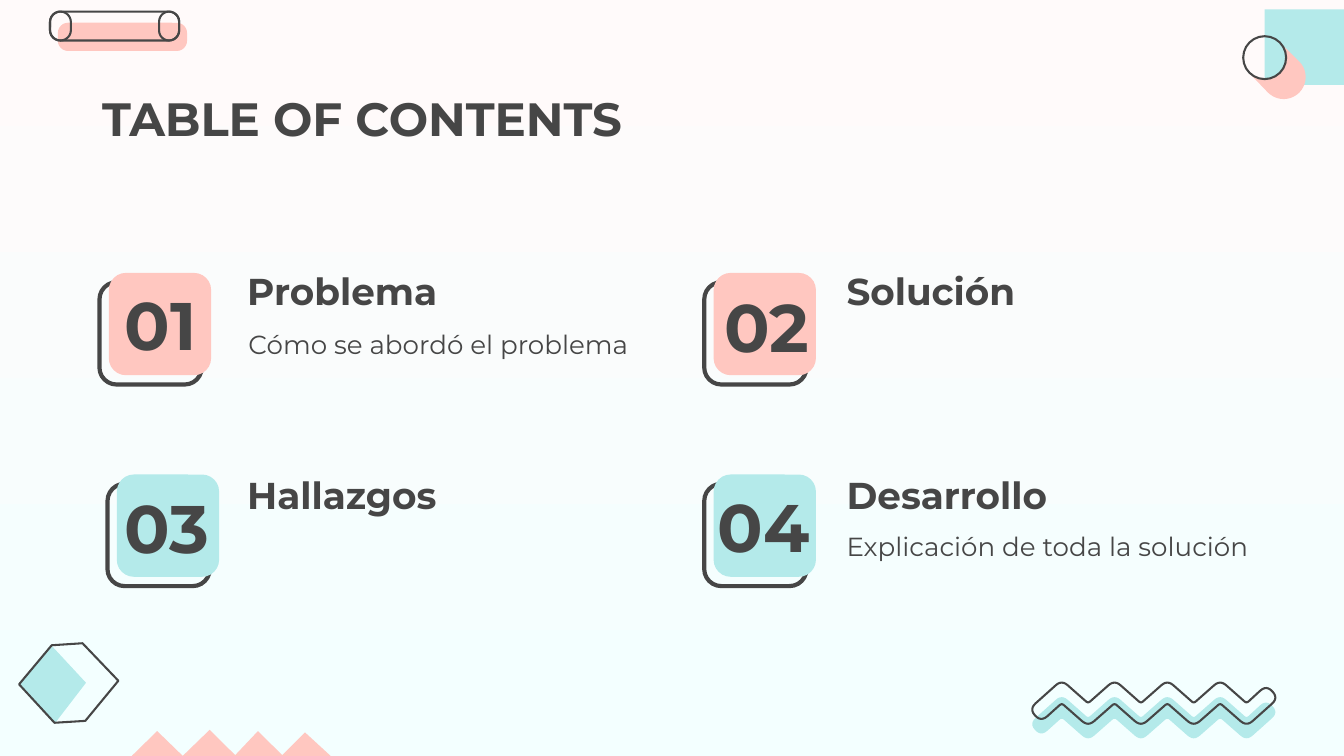
import math
from typing import NamedTuple

import pptx
import pptx.dml.color
import pptx.enum.shapes
import pptx.enum.text
import pptx.util

Pt = pptx.util.Pt
RGBColor = pptx.dml.color.RGBColor
Kind = pptx.enum.shapes.MSO_SHAPE
Anchor = pptx.enum.text.MSO_ANCHOR

INK = RGBColor(0x46, 0x46, 0x46)
CORAL = RGBColor(0xFF, 0xC7, 0xC0)
AQUA = RGBColor(0xB4, 0xEA, 0xEA)
SKY_TOP = RGBColor(0xFF, 0xFA, 0xFA)
SKY_BOTTOM = RGBColor(0xF3, 0xFF, 0xFF)
FONT = "Montserrat"
THIN, THICK = 1.1, 2.25
BADGE = 54.8

Point = tuple[float, float]


class Area(NamedTuple):
    left: float
    top: float
    width: float
    height: float


class Section(NamedTuple):
    number: str
    heading: str
    detail: str
    color: RGBColor
    badge: Point
    number_at: Point
    heading_at: Point
    detail_at: Point


class Corner(NamedTuple):
    x: float
    y: float
    cut: float


SECTIONS = [
    Section("01", "Problema", "Cómo se abordó el problema", CORAL,
            (58.3, 146.2), (59.8, 169.2), (125.3, 141.8), (126, 168.5)),
    Section("02", "Solución", "", CORAL,
            (382.3, 146.2), (380.9, 169.9), (446.4, 141.8), (446.4, 168.5)),
    Section("03", "Hallazgos", "", AQUA,
            (62.6, 254.2), (59.8, 277.9), (125.3, 251.3), (125.3, 277.2)),
    Section("04", "Desarrollo", "Explicación de toda la solución", AQUA,
            (382.3, 254.2), (377.3, 277.2), (446.4, 251.3), (446.4, 277.2)),
]


def paint(shape, fill: RGBColor | None, line_width: float = 0) -> None:
    shape.shadow.inherit = False
    if fill is None:
        shape.fill.background()
    else:
        shape.fill.solid()
        shape.fill.fore_color.rgb = fill
    if line_width:
        shape.line.color.rgb = INK
        shape.line.width = Pt(line_width)
    else:
        shape.line.fill.background()


def draw_preset(page, kind, area: Area, fill: RGBColor | None,
                line_width: float = 0, rounding: float | None = None) -> None:
    shape = page.shapes.add_shape(kind, *map(Pt, area))
    if rounding is not None:
        shape.adjustments[0] = rounding
    paint(shape, fill, line_width)


def draw_polygon(page, points: list[Point], fill: RGBColor | None,
                 line_width: float = 0) -> None:
    corners = [(Pt(x), Pt(y)) for x, y in points]
    builder = page.shapes.build_freeform(*corners[0])
    builder.add_line_segments(corners[1:], close=True)
    paint(builder.convert_to_shape(), fill, line_width)


def arc(center: Point, radius: float, start: int, end: int) -> list[Point]:
    step = 9 if end > start else -9
    return [(center[0] + radius * math.cos(math.radians(angle)),
             center[1] + radius * math.sin(math.radians(angle)))
            for angle in range(start, end + step, step)]


def round_corners(corners: list[Corner]) -> list[Point]:
    """Replace each corner by points on a quadratic curve."""
    points = []
    for index, corner in enumerate(corners):
        before = corners[index - 1]
        after = corners[(index + 1) % len(corners)]
        ends = []
        for other in (before, after):
            share = corner.cut / math.dist(corner[:2], other[:2])
            ends.append((corner.x + share * (other.x - corner.x),
                         corner.y + share * (other.y - corner.y)))
        for step in range(7):
            t = step / 6
            points.append(tuple(
                (1 - t) ** 2 * a + 2 * t * (1 - t) * b + t ** 2 * c
                for a, b, c in zip(ends[0], corner[:2], ends[1])))
    return points


def wave(drop: float) -> list[Point]:
    """Outline of the zigzag ribbon, moved down by drop."""
    first, pitch, outer, inner, cap = 568.8, 28.3, 4.3, 1.5, 4.6
    upper, lower = [], []
    for index in range(4):
        peak = first + index * pitch
        valley = peak + pitch / 2
        upper += [Corner(peak, 364.3, outer), Corner(valley, 376.8, inner)]
        lower += [Corner(peak, 376.8, inner), Corner(valley, 389.2, outer)]
    corners = [Corner(551.4, 379.9, cap), *upper, Corner(678.5, 367, cap),
               Corner(684.9, 374, cap), *reversed(lower),
               Corner(557.7, 386.8, cap)]
    return [(x, y + drop) for x, y in round_corners(corners)]


def write(box, text: str, size: float, bold: bool, anchor) -> None:
    frame = box.text_frame
    frame.word_wrap = True
    frame.auto_size = pptx.enum.text.MSO_AUTO_SIZE.NONE
    frame.vertical_anchor = anchor
    frame.margin_left = frame.margin_right = Pt(7.2)
    frame.margin_top = frame.margin_bottom = Pt(7.2)
    para = frame.paragraphs[0]
    para.alignment = pptx.enum.text.PP_ALIGN.LEFT
    span = para.add_run()
    span.text = text
    span.font.name = FONT
    span.font.size = Pt(size)
    span.font.bold = bold
    span.font.color.rgb = INK


def add_text(page, area: Area, text: str, size: float, bold: bool, anchor) -> None:
    write(page.shapes.add_textbox(*map(Pt, area)), text, size, bold, anchor)


def draw_ornaments(page) -> None:
    draw_preset(page, Kind.RECTANGLE, Area(677.5, 5, 42.5, 40.6), AQUA)
    draw_polygon(page, wave(7.8), AQUA)
    draw_polygon(page, wave(0), None, THIN)
    draw_polygon(page, [(27.4, 345.6), (10.1, 366.5), (29.5, 387.4),
                        (46.1, 365.8)], AQUA)
    draw_polygon(page, [(44.2, 344.6), (63.4, 364.7), (45.7, 386.2),
                        (29.2, 387.2), (10.2, 366.6), (27.7, 345.7)], None, THIN)
    crescent = arc((677.5, 31), 11.6, -45, 135) + arc((687.7, 41.3), 11.8, 135, -45)
    draw_polygon(page, crescent, CORAL)
    draw_preset(page, Kind.OVAL, Area(666, 19.4, 23, 23), None, THIN)
    draw_preset(page, Kind.ROUNDED_RECTANGLE, Area(31, 12.2, 69.2, 15.1), CORAL, 0, 0.36)
    for left, width, rounding in [(26.8, 69.2, 0.36), (26.8, 11.2, 0.5), (85.2, 10.8, 0.5)]:
        draw_preset(page, Kind.ROUNDED_RECTANGLE, Area(left, 6.2, width, 15.5),
                    None, THIN, rounding)
    draw_polygon(page, [(70.6, 405), (84.2, 391.7), (97.9, 405), (112.3, 391),
                        (126, 404.6), (138.2, 391.7), (151.2, 404.6),
                        (163.4, 392.4), (177.1, 405)], CORAL)


def draw_section(page, section: Section) -> None:
    left, top = section.badge
    draw_preset(page, Kind.ROUNDED_RECTANGLE, Area(left - 5, top + 5, BADGE, BADGE),
                None, THICK, 0.167)
    draw_preset(page, Kind.ROUNDED_RECTANGLE, Area(left, top, BADGE, BADGE),
                section.color, 0, 0.167)
    add_text(page, Area(*section.number_at, 74.2, 33.1), section.number, 36, True,
             Anchor.BOTTOM)
    add_text(page, Area(*section.heading_at, 236.9, 33.1), section.heading, 20, True,
             Anchor.BOTTOM)
    if section.detail:
        add_text(page, Area(*section.detail_at, 231.1, 45.4), section.detail, 14, False,
                 Anchor.TOP)


def main() -> None:
    deck = pptx.Presentation()
    deck.slide_width, deck.slide_height = Pt(720), Pt(405)
    page = deck.slides.add_slide(deck.slide_layouts[5])
    sky = page.background.fill
    sky.gradient()
    sky.gradient_angle = 270
    for stop, color in zip(sky.gradient_stops, (SKY_TOP, SKY_BOTTOM)):
        stop.color.rgb = color
    draw_ornaments(page)
    for section in SECTIONS:
        draw_section(page, section)
    title = page.shapes.title
    title.left, title.top, title.width, title.height = map(Pt, (47.5, 41, 547.9, 43.9))
    write(title, "TABLE OF CONTENTS", 25, True, Anchor.TOP)
    deck.save("out.pptx")


if __name__ == "__main__":
    main()
